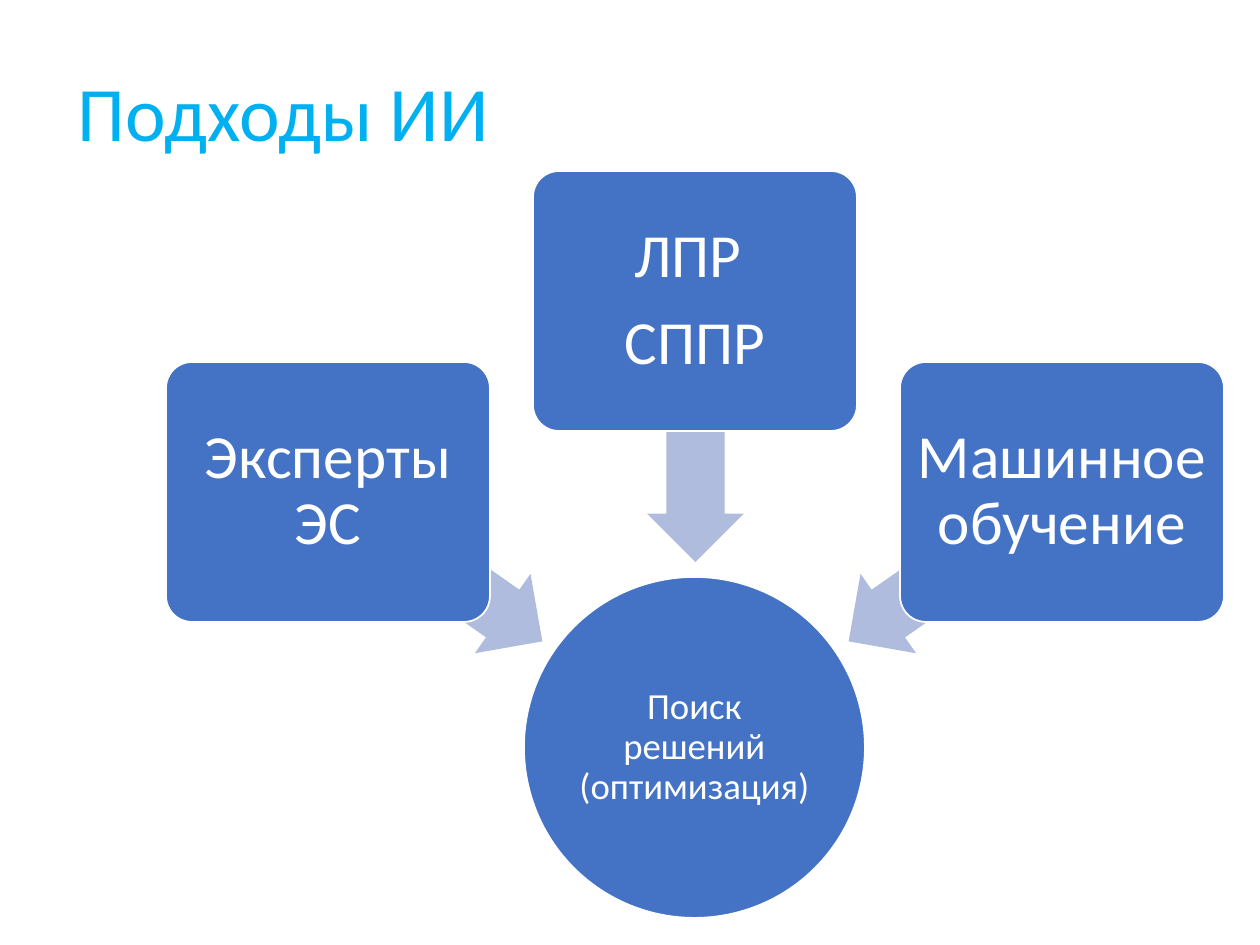
"""Builds a slide on AI approaches: three sources feeding one solution search."""
import pptx
import pptx.dml.color
import pptx.enum.shapes
import pptx.enum.text
import pptx.util

PX = 914400 // 126
TITLE_BLUE = pptx.dml.color.RGBColor(0x00, 0xB0, 0xF0)
NODE_BLUE = pptx.dml.color.RGBColor(0x44, 0x72, 0xC4)
ARROW_BLUE = pptx.dml.color.RGBColor(0xB0, 0xBC, 0xDE)
WHITE = pptx.dml.color.RGBColor(0xFF, 0xFF, 0xFF)
SHAPE = pptx.enum.shapes.MSO_SHAPE
ALIGN = pptx.enum.text.PP_ALIGN

deck = pptx.Presentation()
deck.slide_width = pptx.util.Inches(10)
deck.slide_height = pptx.util.Inches(7.5)
slide = deck.slides.add_slide(deck.slide_layouts[6])


def add_block(kind, box, fill, outline=None, adjustments=()):
    block = slide.shapes.add_shape(kind, *(length * PX for length in box))
    block.shadow.inherit = False
    block.fill.solid()
    block.fill.fore_color.rgb = fill
    if outline is None:
        block.line.fill.background()
    else:
        block.line.color.rgb = outline
        block.line.width = pptx.util.Pt(1)
    for index, value in enumerate(adjustments):
        block.adjustments[index] = value
    return block


def write(block, lines, size, color, align, margins, space_after=0):
    frame = block.text_frame
    frame.word_wrap = True
    frame.vertical_anchor = pptx.enum.text.MSO_ANCHOR.MIDDLE
    for side, margin in zip(("left", "right", "top", "bottom"), margins):
        setattr(frame, "margin_" + side, margin * PX)
    paragraph_format = {"alignment": align, "line_spacing": 0.9,
                        "space_after": pptx.util.Pt(space_after)}
    font_format = {"name": "Calibri", "size": pptx.util.Pt(size)}
    for index, line in enumerate(lines):
        paragraph = frame.paragraphs[0] if index == 0 else frame.add_paragraph()
        for name, value in paragraph_format.items():
            setattr(paragraph, name, value)
        run = paragraph.add_run()
        run.text = line
        for name, value in font_format.items():
            setattr(run.font, name, value)
        run.font.color.rgb = color


title = slide.shapes.add_textbox(*(length * PX for length in (65, 48, 1086, 137)))
write(title, ["Подходы ИИ"], 44, TITLE_BLUE, ALIGN.LEFT, (13, 13, 6, 6))

solution_search = add_block(SHAPE.OVAL, (524, 577, 341, 341), NODE_BLUE, WHITE)
write(solution_search, ["Поиск решений (оптимизация)"], 21, WHITE, ALIGN.CENTER, (1, 1, 1, 1))

approaches = [
    (["Эксперты ЭС"], 362, 518, 215),
    (["ЛПР ", "СППР"], 171, 383, 270),
    (["Машинное обучение"], 362, 518, 325),
]
for column, (lines, top, arrow_top, rotation) in enumerate(approaches):
    arrow = add_block(SHAPE.LEFT_ARROW, (305 + 260 * column, arrow_top, 261, 97),
                      ARROW_BLUE, adjustments=(0.6, 0.5))
    arrow.rotation = rotation
    approach = add_block(SHAPE.ROUNDED_RECTANGLE, (166 + 367 * column, top, 324, 260),
                         NODE_BLUE, WHITE, (0.1,))
    write(approach, lines, 35, WHITE, ALIGN.CENTER, (9, 9, 9, 9), 12)

deck.save("out.pptx")
